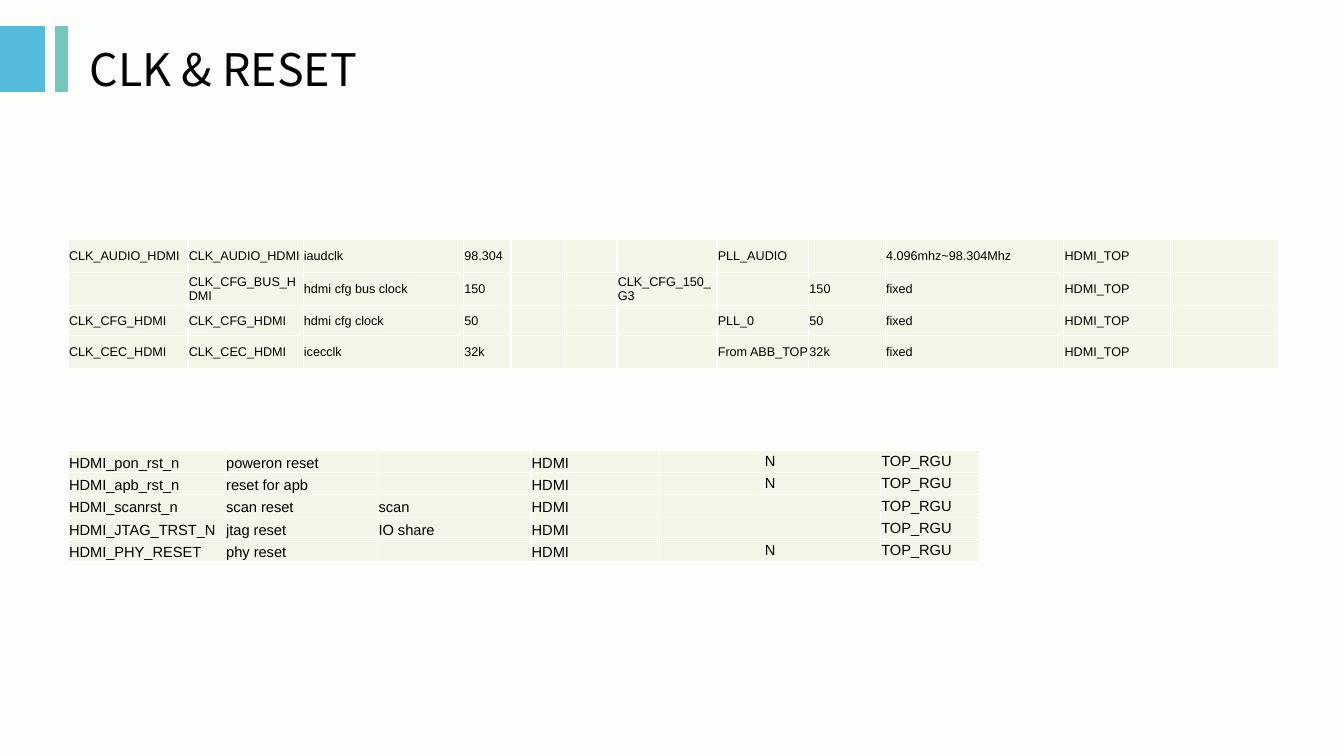
from lxml import etree
from pptx import Presentation
from pptx import util as u
from pptx.dml.color import RGBColor
from pptx.enum import shapes, text
from pptx.oxml import ns

COLORS = {
    "background": "FCFEFC",
    "blue": "54BBDC",
    "teal": "73C8BE",
    "cell": "F4F7E8",
    "border": "FFFFFF",
    "text": "000000",
}

CLOCK_WIDTHS = [3.02, 2.9, 4.04, 1.2, 1.35, 1.32, 2.52, 2.31, 1.93, 4.5, 2.69, 2.72]
CLOCK_HEIGHTS = [0.83, 0.83, 0.76, 0.83]
CLOCK_ROWS = [
    ["CLK_AUDIO_HDMI", "CLK_AUDIO_HDMI", "iaudclk", "98.304", "", "", "",
     "PLL_AUDIO", "", "4.096mhz~98.304Mhz", "HDMI_TOP", ""],
    ["", "CLK_CFG_BUS_HDMI", "hdmi cfg bus clock", "150", "", "", "CLK_CFG_150_G3",
     "", "150", "fixed", "HDMI_TOP", ""],
    ["CLK_CFG_HDMI", "CLK_CFG_HDMI", "hdmi cfg clock", "50", "", "", "",
     "PLL_0", "50", "fixed", "HDMI_TOP", ""],
    ["CLK_CEC_HDMI", "CLK_CEC_HDMI", "icecclk", "32k", "", "", "",
     "From ABB_TOP", "32k", "fixed", "HDMI_TOP", ""],
]

RESET_WIDTHS = [3.96, 3.84, 3.86, 3.25, 5.56, 2.51]
RESET_ROWS = [
    ["HDMI_pon_rst_n", "poweron reset", "", "HDMI", "N", "TOP_RGU"],
    ["HDMI_apb_rst_n", "reset for apb", "", "HDMI", "N", "TOP_RGU"],
    ["HDMI_scanrst_n", "scan reset", "scan", "HDMI", "", "TOP_RGU"],
    ["HDMI_JTAG_TRST_N", "jtag reset", "IO share", "HDMI", "", "TOP_RGU"],
    ["HDMI_PHY_RESET", "phy reset", "", "HDMI", "N", "TOP_RGU"],
]
RESET_HEIGHTS = [0.56] * len(RESET_ROWS)


def color(name):
    return RGBColor.from_string(COLORS[name])


def set_font(font, name, size):
    font.name = name
    font.size = u.Pt(size)
    font.color.rgb = color("text")


def add_bar(slide, left, width, fill):
    bar = slide.shapes.add_shape(
        shapes.MSO_SHAPE.RECTANGLE, u.Cm(left), u.Cm(0.66), u.Cm(width), u.Cm(1.65))
    bar.shadow.inherit = False
    bar.fill.solid()
    bar.fill.fore_color.rgb = color(fill)
    bar.line.color.rgb = color(fill)
    bar.line.width = u.Pt(0.75)


def set_title(slide, wording):
    title = slide.shapes.title
    title.left, title.top = u.Cm(2.01), u.Cm(0.56)
    title.width, title.height = u.Cm(30.18), u.Cm(2.34)
    frame = title.text_frame
    frame.text = wording
    frame.auto_size = text.MSO_AUTO_SIZE.NONE
    frame.vertical_anchor = text.MSO_ANCHOR.MIDDLE
    paragraph = frame.paragraphs[0]
    paragraph.alignment = text.PP_ALIGN.LEFT
    set_font(paragraph.font, "Noto Sans CJK SC", 32)


def add_borders(cell):
    properties = cell._tc.get_or_add_tcPr()
    for side in ("a:lnL", "a:lnR", "a:lnT", "a:lnB"):
        line = etree.SubElement(properties, ns.qn(side), w=str(u.Pt(1)))
        fill = etree.SubElement(line, ns.qn("a:solidFill"))
        etree.SubElement(fill, ns.qn("a:srgbClr"), val=COLORS["border"])


def format_cell(cell, wording, size, anchor, alignment):
    add_borders(cell)
    cell.fill.solid()
    cell.fill.fore_color.rgb = color("cell")
    cell.margin_left = cell.margin_right = u.Cm(0.02)
    cell.margin_top = cell.margin_bottom = u.Cm(0.03)
    cell.vertical_anchor = anchor
    cell.text = wording
    paragraph = cell.text_frame.paragraphs[0]
    paragraph.alignment = alignment
    set_font(paragraph.font, "Arial", size)
    if not wording:
        etree.SubElement(paragraph._p, ns.qn("a:endParaRPr"), sz=str(int(size * 100)))


def add_grid(slide, top, widths, heights, rows, size, bottom_columns=(), centered_columns=()):
    table = slide.shapes.add_table(
        len(rows), len(widths), u.Cm(1.72), u.Cm(top),
        u.Cm(sum(widths)), u.Cm(sum(heights))).table
    table.first_row = table.horz_banding = False
    for column, width in zip(table.columns, widths):
        column.width = u.Cm(width)
    for row, height, wordings in zip(table.rows, heights, rows):
        row.height = u.Cm(height)
        for index, (cell, wording) in enumerate(zip(row.cells, wordings)):
            anchor = text.MSO_ANCHOR.BOTTOM if index in bottom_columns else text.MSO_ANCHOR.MIDDLE
            alignment = text.PP_ALIGN.CENTER if index in centered_columns else text.PP_ALIGN.LEFT
            format_cell(cell, wording, size, anchor, alignment)


def main():
    presentation = Presentation()
    presentation.slide_width, presentation.slide_height = u.Cm(33.87), u.Cm(19.05)
    slide = presentation.slides.add_slide(presentation.slide_layouts.get_by_name("Title Only"))
    slide.background.fill.solid()
    slide.background.fill.fore_color.rgb = color("background")
    add_bar(slide, 0, 1.12, "blue")
    add_bar(slide, 1.4, 0.3, "teal")
    set_title(slide, "CLK & RESET")
    add_grid(slide, 6.04, CLOCK_WIDTHS, CLOCK_HEIGHTS, CLOCK_ROWS, 9)
    add_grid(slide, 11.35, RESET_WIDTHS, RESET_HEIGHTS, RESET_ROWS, 10.5,
             bottom_columns=range(4), centered_columns=(4,))
    presentation.save("out.pptx")


if __name__ == "__main__":
    main()
